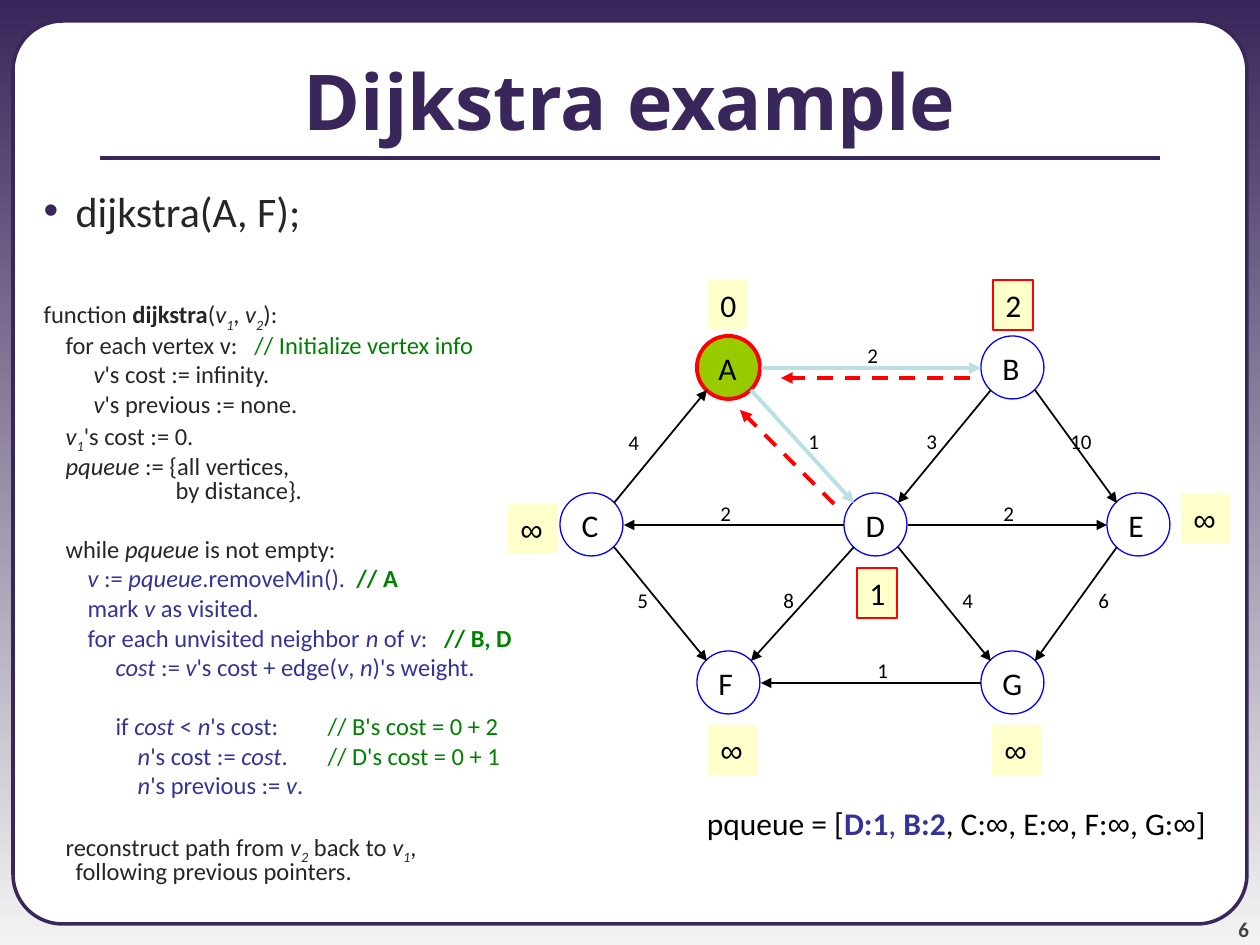
from lxml import etree
from pptx import Presentation
from pptx.dml.color import RGBColor
from pptx.enum.dml import MSO_LINE
from pptx.enum.shapes import MSO_CONNECTOR, MSO_SHAPE
from pptx.enum.text import MSO_ANCHOR, MSO_AUTO_SIZE, PP_ALIGN
from pptx.oxml.ns import qn
from pptx.util import Inches, Pt

PX = 7257
LINE, DASH = MSO_CONNECTOR.STRAIGHT, MSO_LINE.DASH
OVAL, RECT, ROUND = MSO_SHAPE.OVAL, MSO_SHAPE.RECTANGLE, MSO_SHAPE.ROUNDED_RECTANGLE
TOP, MID, LOW = MSO_ANCHOR.TOP, MSO_ANCHOR.MIDDLE, MSO_ANCHOR.BOTTOM
LEFT, RIGHT, CENTER = PP_ALIGN.LEFT, PP_ALIGN.RIGHT, PP_ALIGN.CENTER
FIT, FIXED = MSO_AUTO_SIZE.SHAPE_TO_FIT_TEXT, MSO_AUTO_SIZE.NONE
HEX = {"plum": "39275B", "mist": "F3F3F3", "white": "FFFFFF", "gray": "424242",
       "ink": "262626", "black": "000000", "green": "008000", "navy": "333399",
       "lime": "99CC00", "red": "FF0000", "blue": "0000FF", "pale": "BBE0E3",
       "cream": "FFFFCC"}
RGB = {name: RGBColor.from_string(code) for name, code in HEX.items()}
MARKS = {"*": {"bold": True}, "_": {"italic": True}, "~": {"italic": True, "sub": True},
         "#": {"color": "green"}, "!": {"color": "green", "bold": True},
         "=": {"color": "navy", "bold": True}, "+": {"color": "navy"},
         "@": {"font": "Arial"}}


def write(para, text, size=18, color="black", font="Calibri", bold=False,
          align=LEFT, before=0, lines=None):
    para.alignment = align
    para.space_before = Pt(before)
    if lines:
        para.line_spacing = lines
    for piece in text.split("|"):
        if piece == "^":
            para.add_line_break()
            continue
        mark = MARKS.get(piece[0], {})
        run = para.add_run()
        run.text = piece[1:] if mark else piece
        run.font.size = Pt(size)
        run.font.name = mark.get("font", font)
        run.font.bold = mark.get("bold", bold)
        run.font.italic = mark.get("italic", False)
        run.font.color.rgb = RGB[mark.get("color", color)]
        if mark.get("sub"):
            run._r.get_or_add_rPr().set("baseline", "-25000")


def link(ends, color="black", width=1, dash=False, arrow=True):
    line = slide.shapes.add_connector(LINE, *[n * PX for n in ends])
    line.line.color.rgb = RGB[color]
    line.line.width = Pt(width)
    if dash:
        line.line.dash_style = DASH
    if arrow:
        etree.SubElement(line.line._get_or_add_ln(), qn("a:tailEnd"), type="triangle")
    etree.SubElement(line._element.spPr, qn("a:effectLst"))


deck = Presentation()
deck.slide_width, deck.slide_height = Inches(10), Inches(7.5)
slide = deck.slides.add_slide(deck.slide_layouts[1])
shapes = slide.shapes
title, body = shapes.title, slide.placeholders[1]

fill = slide.background.fill
fill.gradient()
fill.gradient_angle = 270
for stop, spot, name in zip(fill.gradient_stops, (0, 1), ("plum", "mist")):
    stop.position = spot
    stop.color.rgb = RGB[name]

panel = shapes.add_shape(ROUND, 13 * PX, 21 * PX, 1234 * PX, 903 * PX)
panel.shadow.inherit = False
panel.adjustments[0] = 0.055
panel.fill.solid()
panel.fill.fore_color.rgb = RGB["white"]
panel.line.color.rgb = RGB["plum"]
panel.line.width = Pt(2)

page = shapes.add_textbox(1144 * PX, 892 * PX, 105 * PX, 50 * PX).text_frame
page.margin_left = page.margin_right = page.margin_top = page.margin_bottom = 0
page.word_wrap = True
page.vertical_anchor = LOW
write(page.paragraphs[0], "6", size=12, color="gray", bold=True, align=RIGHT, before=5)
link((100, 158, 1160, 158), color="plum", width=2.25, arrow=False)

for holder, top, high in ((title, 21, 158), (body, 179, 766)):
    holder.left, holder.top, holder.width, holder.height = 0, top * PX, 1260 * PX, high * PX
    holder.text_frame.auto_size = FIXED
    shapes._spTree.append(holder.element)
title.text_frame.vertical_anchor = MID
write(title.text_frame.paragraphs[0], "Dijkstra example", size=44, color="plum",
      font="Open Sans", bold=True, align=CENTER)

first = body.text_frame.paragraphs[0]
write(first, "dijkstra(A, F);", size=24, color="ink", before=6)
props = first._p.get_or_add_pPr()
props.set("marL", str(63 * PX))
props.set("indent", str(-32 * PX))
tint = etree.SubElement(props, qn("a:buClr"))
etree.SubElement(tint, qn("a:srgbClr"), val=HEX["plum"])
etree.SubElement(props, qn("a:buChar"), char="•")

TIGHT, GAP = 3.5, 20.2
CODE = [
    (31, 63, 38.2, "ink", "function |*dijkstra|(|_v|~1|, |_v|~2|):"),
    (53, 63, TIGHT, "ink", "for each vertex v:   |#// Initialize vertex info"),
    (81, 63, TIGHT, "ink", "_v|'s cost := infinity."),
    (81, 63, TIGHT, "ink", "_v|'s previous := none."),
    (53, 63, TIGHT, "ink", "_v|~1|'s cost := 0."),
    (53, 163, TIGHT, "ink", "_pqueue| := {all vertices,|^|by distance}."),
    (53, 63, GAP, "ink", "while |_pqueue| is not empty:"),
    (75, 63, TIGHT, "navy", "_v| := |_pqueue|.removeMin().  |!// A"),
    (75, 63, TIGHT, "navy", "mark |_v| as visited."),
    (75, 63, TIGHT, "navy", "for each unvisited neighbor |_n| of |_v|:   |!// B, D"),
    (103, 63, TIGHT, "navy", "_cost| := |_v|'s cost + edge(|_v|, |_n|)'s weight."),
    (103, 63, GAP, "navy", "if |_cost| < |_n|'s cost:\t|#// B's cost = 0 + 2"),
    (125, 63, TIGHT, "navy", "_n|'s cost := |_cost|.\t|#// D's cost = 0 + 1"),
    (125, 63, TIGHT, "navy", "_n|'s previous := |_v|."),
    (53, 63, GAP, "ink", "reconstruct path from |_v|~2| back to |_v|~1|,|^|following previous pointers."),
]
for start, hang, before, color, text in CODE:
    para = body.text_frame.add_paragraph()
    write(para, text, size=14, color=color, before=before, lines=0.8)
    props = para._p.get_or_add_pPr()
    props.set("marL", str(hang * PX))
    props.set("indent", str((start - hang) * PX))
    etree.SubElement(props, qn("a:buNone"))

NODES = {"A": (729, 368), "B": (1013, 368), "C": (592, 525), "D": (876, 525),
         "E": (1139, 525), "F": (729, 683), "G": (1013, 683)}
for name, (x, y) in NODES.items():
    node = shapes.add_shape(OVAL, (x - 32) * PX, (y - 32) * PX, 63 * PX, 63 * PX)
    node.shadow.inherit = False
    if name == "A":
        node.fill.solid()
        node.fill.fore_color.rgb = RGB["lime"]
    else:
        node.fill.background()
    node.line.color.rgb = RGB["red" if name == "A" else "blue"]
    node.line.width = Pt(2.25 if name == "A" else 0.75)
    node.text_frame.word_wrap = False
    node.text_frame.vertical_anchor = MID
    write(node.text_frame.paragraphs[0], name)

EDGES = [("AB", "2", 873, 355), ("AD", "1", 814, 441), ("BD", "3", 932, 441),
         ("BE", "10", 1083, 441), ("CA", "4", 634, 442), ("CF", "5", 643, 600),
         ("DC", "2", 726, 513), ("DE", "2", 1009, 513), ("DF", "8", 789, 600),
         ("DG", "4", 968, 600), ("EG", "6", 1104, 600), ("GF", "1", 883, 670)]
for (tail, head), cost, x, y in EDGES:
    (x1, y1), (x2, y2) = NODES[tail], NODES[head]
    dx = (22 if y1 != y2 else 32) * (1 if x2 > x1 else -1)
    dy = 22 * ((y2 > y1) - (y2 < y1))
    seen = tail == "A"
    link((x1 + dx, y1 + dy, x2 - dx, y2 - dy),
         color="pale" if seen else "black", width=2.25 if seen else 1)
    wide = 22 + 14 * len(cost)
    label = shapes.add_textbox((x - wide // 2) * PX, (y - 19) * PX, wide * PX, 38 * PX)
    label.text_frame.word_wrap = False
    label.text_frame.auto_size = FIT
    label.text_frame.vertical_anchor = MID
    write(label.text_frame.paragraphs[0], cost, size=12)

COSTS = [("0", 708, 280), ("2", 993, 280), ("∞", 508, 504), ("∞", 1181, 494),
         ("1", 857, 568), ("∞", 708, 725), ("∞", 992, 725)]
for cost, x, y in COSTS:
    far = cost == "∞"
    card = shapes.add_shape(RECT, x * PX, y * PX, (49 if far else 40) * PX, 50 * PX)
    card.shadow.inherit = False
    card.fill.solid()
    card.fill.fore_color.rgb = RGB["cream"]
    if cost in "12":
        card.line.color.rgb = RGB["red"]
        card.line.width = Pt(1.25)
    else:
        card.line.fill.background()
    card.text_frame.word_wrap = False
    card.text_frame.auto_size = FIT
    card.text_frame.vertical_anchor = TOP
    write(card.text_frame.paragraphs[0], cost, font="Arial" if far else "Calibri")

for ends in ((834, 504, 740, 410), (970, 378, 781, 378)):
    link(ends, color="red", width=2.25, dash=True)

queue = shapes.add_textbox(690 * PX, 798 * PX, 528 * PX, 50 * PX).text_frame
queue.word_wrap = False
queue.auto_size = FIT
write(queue.paragraphs[0], "pqueue = [|=D:1|+, |=B:2|, C:|@∞|, E:|@∞|, F:|@∞|, G:|@∞|]",
      align=RIGHT)

deck.save("out.pptx")
